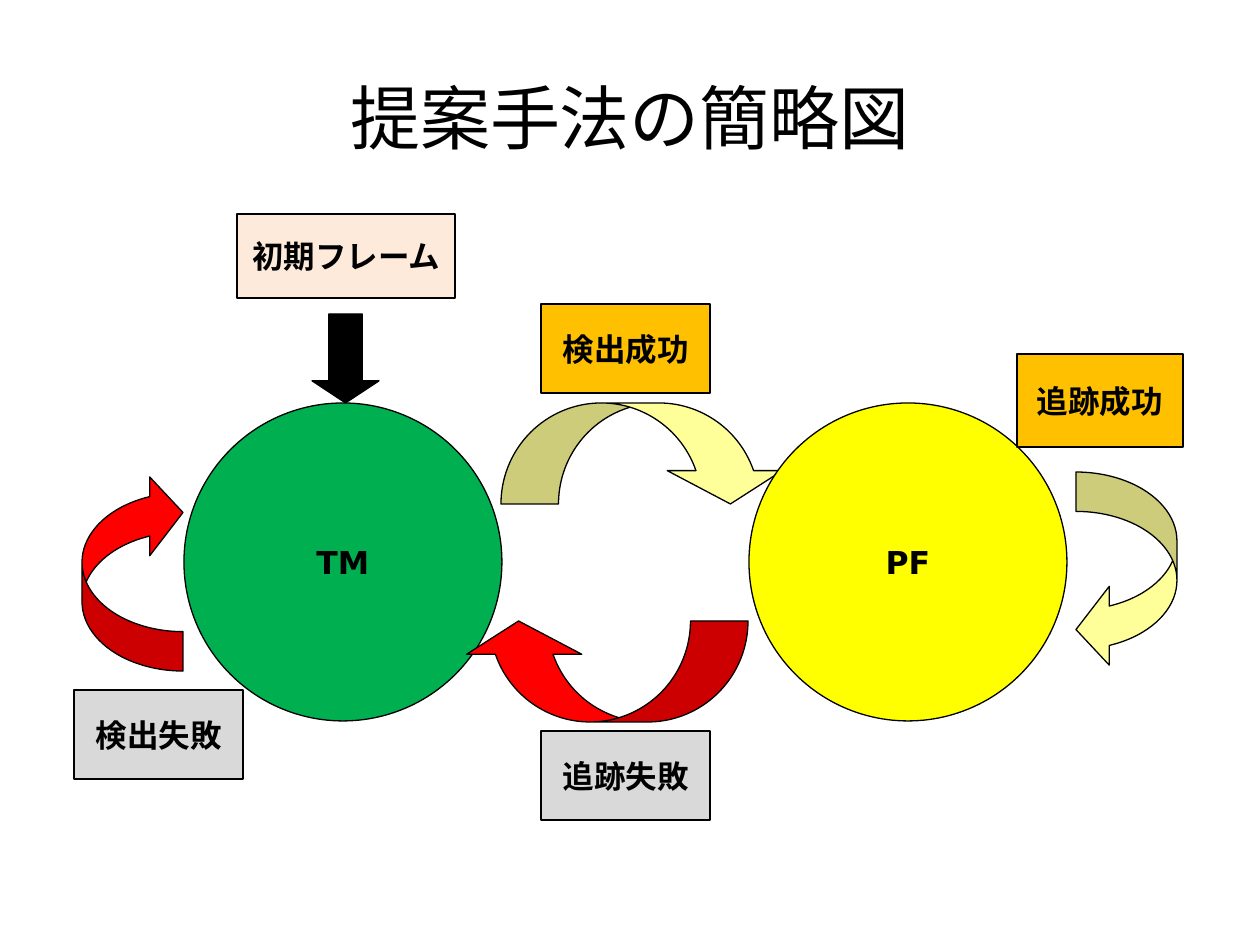
from dataclasses import dataclass

from pptx import Presentation
from pptx import util as u
from pptx.dml.color import RGBColor
from pptx.enum import shapes, text

PX = 914400 / 126
KIND = shapes.MSO_SHAPE

BLACK = RGBColor(0x00, 0x00, 0x00)
GREEN = RGBColor(0x00, 0xB0, 0x50)
YELLOW = RGBColor(0xFF, 0xFF, 0x00)
PALE_YELLOW = RGBColor(0xFF, 0xFF, 0x99)
RED = RGBColor(0xFF, 0x00, 0x00)
PEACH = RGBColor(0xFD, 0xEA, 0xDA)
AMBER = RGBColor(0xFF, 0xC0, 0x00)
GREY = RGBColor(0xD9, 0xD9, 0xD9)


@dataclass(frozen=True)
class Node:
    kind: int
    left: int
    top: int
    width: int
    height: int
    fill: RGBColor
    label: str = ""
    turn: int = 0
    adjust: tuple[float, ...] = ()


def state(left: int, fill: RGBColor, label: str) -> Node:
    return Node(KIND.FLOWCHART_CONNECTOR, left, 403, 318, 318, fill, label)


def outcome(left: int, top: int, fill: RGBColor, label: str,
            width: int = 169, height: int = 89) -> Node:
    return Node(KIND.FLOWCHART_PROCESS, left, top, width, height, fill, label)


def loop(left: int, top: int, height: int, fill: RGBColor, turn: int,
         adjust: tuple[float, ...]) -> Node:
    return Node(KIND.CURVED_LEFT_ARROW, left, top, 101, height, fill,
                turn=turn, adjust=adjust)


WIDE_BEND = (0.57, 1.14, 0.33)
TIGHT_BEND = (0.39, 0.78, 0.33)

NODES = [
    state(184, GREEN, "TM"),
    Node(KIND.CURVED_DOWN_ARROW, 501, 403, 287, 101, PALE_YELLOW, adjust=WIDE_BEND),
    loop(554, 528, 287, RED, 90, WIDE_BEND),
    state(749, YELLOW, "PF"),
    loop(1076, 472, 197, PALE_YELLOW, 0, TIGHT_BEND),
    loop(82, 473, 198, RED, 180, TIGHT_BEND),
    outcome(237, 214, PEACH, "初期フレーム", 218, 84),
    Node(KIND.DOWN_ARROW, 312, 314, 67, 89, BLACK, adjust=(0.5, 0.33)),
    outcome(541, 304, AMBER, "検出成功"),
    outcome(1017, 354, AMBER, "追跡成功", 166, 93),
    outcome(541, 731, GREY, "追跡失敗"),
    outcome(74, 690, GREY, "検出失敗"),
]


def px(*lengths: int) -> list[u.Emu]:
    return [u.Emu(round(length * PX)) for length in lengths]


def write(box, words: str, font: str, size: int, bold: bool, wrap: bool) -> None:
    frame = box.text_frame
    frame.word_wrap = wrap
    frame.vertical_anchor = text.MSO_ANCHOR.MIDDLE
    para = frame.paragraphs[0]
    para.alignment = text.PP_ALIGN.CENTER
    span = para.add_run()
    span.text = words
    span.font.name = font
    span.font.size = u.Pt(size)
    span.font.bold = bold
    span.font.color.rgb = BLACK


def draw(page, node: Node) -> None:
    shape = page.shapes.add_shape(
        node.kind, *px(node.left, node.top, node.width, node.height))
    shape.shadow.inherit = False
    shape.rotation = node.turn
    for index, value in enumerate(node.adjust):
        shape.adjustments[index] = value
    shape.fill.solid()
    shape.fill.fore_color.rgb = node.fill
    shape.line.color.rgb = BLACK
    shape.line.width = u.Pt(0.75)
    if node.label:
        write(shape, node.label, "DejaVu Sans", 18, True, False)


def main() -> None:
    deck = Presentation()
    deck.slide_width, deck.slide_height = px(1260, 945)
    page = deck.slides.add_slide(deck.slide_layouts[6])
    title = page.shapes.add_textbox(*px(63, 38, 1134, 158))
    write(title, "提案手法の簡略図", "Calibri", 40, False, True)
    for node in NODES:
        draw(page, node)
    deck.save("out.pptx")


if __name__ == "__main__":
    main()
